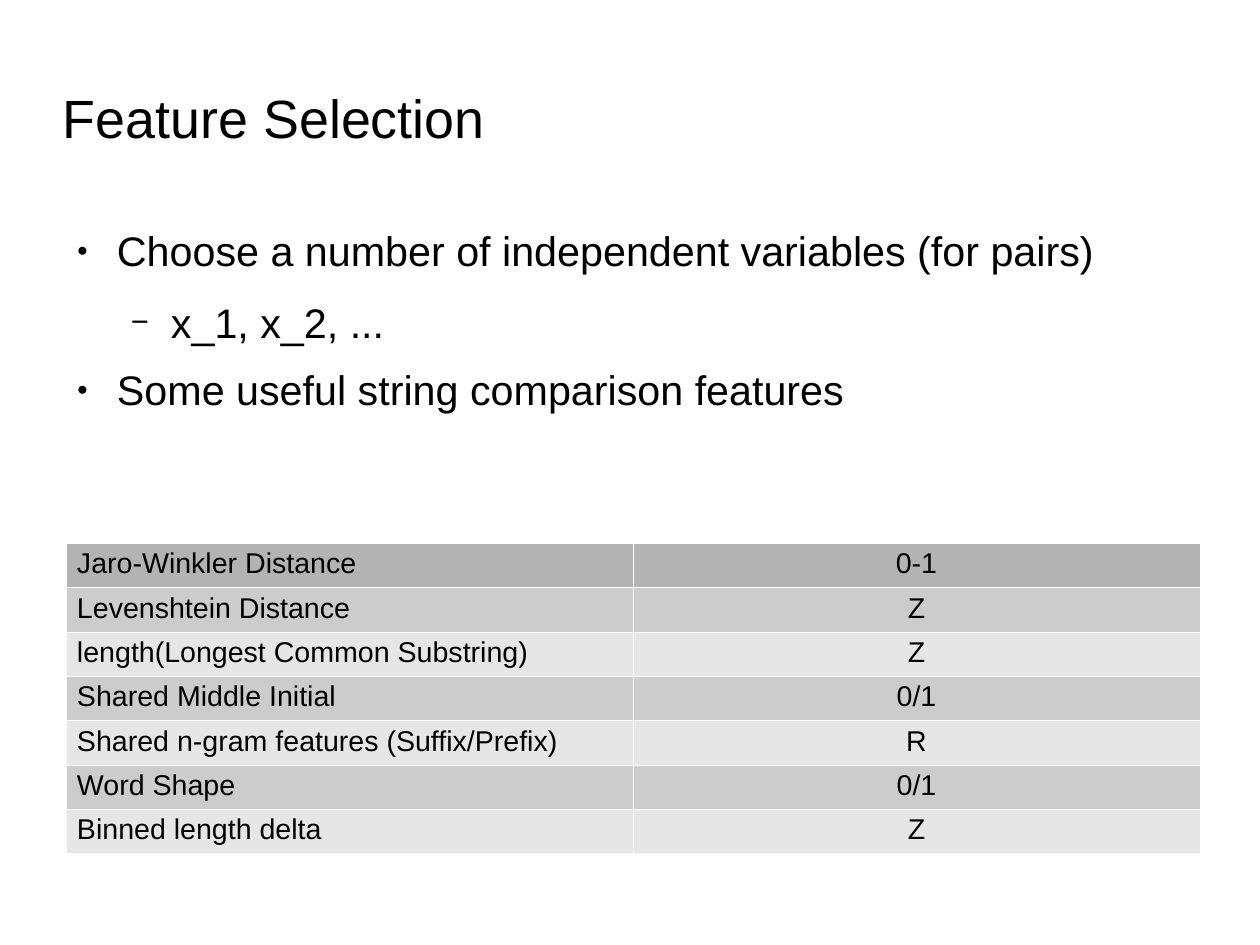
"""Build the Feature Selection slide with its bullets and feature table."""
from lxml import etree
from pptx import Presentation, util as u
from pptx.dml.color import RGBColor
from pptx.enum import text
from pptx.oxml.ns import qn

TITLE = "Feature Selection"
BULLETS = [
    ("Choose a number of independent variables (for pairs)", 0),
    ("x_1, x_2, ...", 1),
    ("Some useful string comparison features", 0),
]
FEATURES = [
    ("Jaro-Winkler Distance", "0-1"),
    ("Levenshtein Distance", "Z"),
    ("length(Longest Common Substring)", "Z"),
    ("Shared Middle Initial", "0/1"),
    ("Shared n-gram features (Suffix/Prefix)", "R"),
    ("Word Shape", "0/1"),
    ("Binned length delta", "Z"),
]
BULLET_STYLES = [("●", 45, 14.2), ("−", 75, 11.3)]

FONT = "Arial"
BLACK = RGBColor(0x00, 0x00, 0x00)
WHITE = RGBColor(0xFF, 0xFF, 0xFF)
HEADER_GREY = RGBColor(0xB3, 0xB3, 0xB3)
BAND_GREYS = [RGBColor(0xE6, 0xE6, 0xE6), RGBColor(0xCC, 0xCC, 0xCC)]

EMU_PER_PX = 8000
SLIDE_SIZE = (1260, 945)
TITLE_BOX = (63, 72, 900, 90)
BODY_BOX = (63, 225, 1134, 262)
TABLE_BOX = (66, 543, 1134, 304)
INDENT_STEP, HANGING = 54, 40
CELL_INSETS = (11, 5, 11, 5)
BORDER_WIDTH = u.Pt(0.06)


def px(length):
    return u.Emu(round(length * EMU_PER_PX))


def add_child(parent, tag, **attributes):
    child = etree.SubElement(parent, qn(tag))
    for name, value in attributes.items():
        child.set(name, str(value))
    return child


def add_bullet(paragraph, level):
    character, percent, _ = BULLET_STYLES[level]
    properties = paragraph._p.get_or_add_pPr()
    properties.set("marL", str(px(INDENT_STEP * (level + 1))))
    properties.set("indent", str(-px(HANGING)))
    color = add_child(properties, "a:buClr")
    add_child(color, "a:srgbClr", val=BLACK)
    add_child(properties, "a:buSzPct", val=percent * 1000)
    add_child(properties, "a:buFont", typeface=FONT)
    add_child(properties, "a:buChar", char=character)


def write(paragraph, words, *, size, align=text.PP_ALIGN.LEFT, level=None):
    if level is not None:
        add_bullet(paragraph, level)
        paragraph.level = level
        paragraph.space_after = u.Pt(BULLET_STYLES[level][2])
    paragraph.alignment = align
    run = paragraph.add_run()
    run.text = words
    run.font.name = FONT
    run.font.size = u.Pt(size)
    run.font.color.rgb = BLACK


def add_frame(slide, box, anchor):
    frame = slide.shapes.add_textbox(*map(px, box)).text_frame
    frame.word_wrap = True
    frame.vertical_anchor = anchor
    frame.margin_left = frame.margin_top = 0
    frame.margin_right = frame.margin_bottom = 0
    return frame


def style_cell(cell, fill):
    (cell.margin_left, cell.margin_top,
     cell.margin_right, cell.margin_bottom) = map(px, CELL_INSETS)
    properties = cell._tc.get_or_add_tcPr()
    for side in "LRTB":
        line = add_child(properties, f"a:ln{side}", w=BORDER_WIDTH)
        add_child(add_child(line, "a:solidFill"), "a:srgbClr", val=WHITE)
    cell.fill.solid()
    cell.fill.fore_color.rgb = fill


def add_feature_table(slide):
    columns = len(FEATURES[0])
    table = slide.shapes.add_table(
        len(FEATURES), columns, *map(px, TABLE_BOX)).table
    for column in table.columns:
        column.width = px(TABLE_BOX[2] / columns)
    for index, values in enumerate(FEATURES):
        table.rows[index].height = px(TABLE_BOX[3] / len(FEATURES))
        fill = BAND_GREYS[index % 2] if index else HEADER_GREY
        for position, value in enumerate(values):
            cell = table.cell(index, position)
            style_cell(cell, fill)
            align = text.PP_ALIGN.CENTER if position else text.PP_ALIGN.LEFT
            write(cell.text_frame.paragraphs[0], value, size=18, align=align)


def main():
    presentation = Presentation()
    presentation.slide_width, presentation.slide_height = map(px, SLIDE_SIZE)
    slide = presentation.slides.add_slide(presentation.slide_layouts[6])

    title = add_frame(slide, TITLE_BOX, text.MSO_ANCHOR.MIDDLE)
    write(title.paragraphs[0], TITLE, size=33.9)

    body = add_frame(slide, BODY_BOX, text.MSO_ANCHOR.TOP)
    for index, (words, level) in enumerate(BULLETS):
        paragraph = body.add_paragraph() if index else body.paragraphs[0]
        write(paragraph, words, size=26, level=level)

    add_feature_table(slide)
    presentation.save("out.pptx")


if __name__ == "__main__":
    main()
